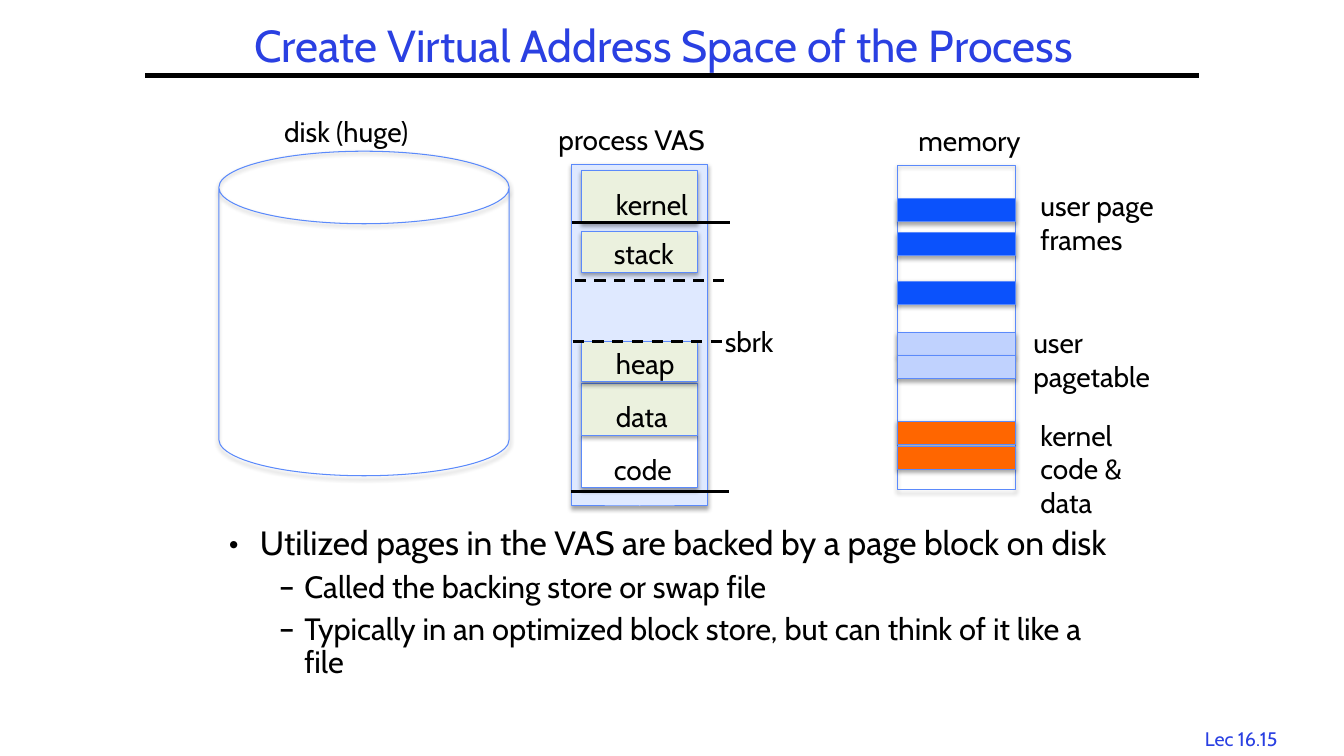
from lxml.etree import SubElement
from pptx import Presentation
from pptx.dml.color import RGBColor
from pptx.enum.dml import MSO_LINE
from pptx.enum.shapes import MSO_CONNECTOR, MSO_SHAPE
from pptx.enum.text import MSO_ANCHOR, MSO_AUTO_SIZE, PP_ALIGN
from pptx.oxml.ns import qn
from pptx.util import Inches, Pt

THEME = {
    "font": "Cabin",
    "title": "2A40E2",
    "ink": "000000",
    "outline": "5B8AFB",
    "space": "DFE9FF",
    "segment": "EBF1DE",
    "code": "FFFFFF",
    "user_frame": "0B52FC",
    "pagetable": "C0D2FE",
    "kernel_frame": "FF6600",
    "title_size": 32,
    "bullet_size": 24,
    "sub_bullet_size": 22,
    "label_size": 20,
    "footer_size": 14,
}

presentation = Presentation()
presentation.slide_width = Inches(13.33)
presentation.slide_height = Inches(7.5)
slide = presentation.slides.add_slide(presentation.slide_layouts[6])


def add_block(kind, left, top, width, height, fill=None):
    shape = slide.shapes.add_shape(
        kind, Inches(left), Inches(top), Inches(width), Inches(height))
    if fill:
        shape.fill.solid()
        shape.fill.fore_color.rgb = RGBColor.from_string(THEME[fill])
    else:
        shape.fill.background()
    shape.line.color.rgb = RGBColor.from_string(THEME["outline"])
    shape.line.width = Pt(0.75)
    shape.shadow.inherit = False
    effects = shape._element.spPr.find(qn("a:effectLst"))
    shadow = SubElement(effects, qn("a:outerShdw"), blurRad=str(Pt(3.1)),
                        dist=str(Pt(1.8)), dir="5400000", rotWithShape="0")
    color = SubElement(shadow, qn("a:srgbClr"), val=THEME["ink"])
    SubElement(color, qn("a:alpha"), val="35000")


def add_text(text, left, top, width, height, size="label_size", color="ink", wrap=False):
    box = slide.shapes.add_textbox(
        Inches(left), Inches(top), Inches(width), Inches(height))
    frame = box.text_frame
    frame.word_wrap = wrap
    frame.text = text
    for paragraph in frame.paragraphs:
        for run in paragraph.runs:
            run.font.name = THEME["font"]
            run.font.size = Pt(THEME[size])
            run.font.color.rgb = RGBColor.from_string(THEME[color])
    return frame


footer = add_text("Lec 16.15", 11.77, 7.16, 1.08, 0.33, "footer_size", "title")
footer.paragraphs[0].alignment = PP_ALIGN.CENTER

title = add_text("Create Virtual Address Space of the Process",
                 2.01, 0, 9.15, 0.96, "title_size", "title", True)
title.vertical_anchor = MSO_ANCHOR.MIDDLE
title.paragraphs[0].alignment = PP_ALIGN.CENTER
title.paragraphs[0].line_spacing = 0.9

bullets = [
    ("Utilized pages in the VAS are backed by a page block on disk", 0),
    ("Called the backing store or swap file", 1),
    ("Typically in an optimized block store, but can think of it like a file", 1),
]
bullet_styles = [("•", 0.31, 0.31, "bullet_size"), ("–", 0.75, 0.25, "sub_bullet_size")]
body = add_text("\n".join(text for text, level in bullets),
                2.17, 5.17, 9, 1.6, "bullet_size", "ink", True)
for index, (paragraph, (text, level)) in enumerate(zip(body.paragraphs, bullets)):
    mark, margin, hanging, size = bullet_styles[level]
    properties = paragraph._p.get_or_add_pPr()
    properties.set("marL", str(Inches(margin)))
    properties.set("indent", str(-Inches(hanging)))
    SubElement(properties, qn("a:buFont"), typeface=THEME["font"])
    SubElement(properties, qn("a:buChar"), char=mark)
    paragraph.level = level
    paragraph.line_spacing = 0.9
    paragraph.space_before = Pt(6.6 if index else 0)
    paragraph.runs[0].font.size = Pt(THEME[size])

memory_left, memory_width = 8.9, 1.17
add_block(MSO_SHAPE.CAN, 2.17, 1.5, 2.88, 3.22)
add_block(MSO_SHAPE.RECTANGLE, memory_left, 1.64, memory_width, 3.22)
add_block(MSO_SHAPE.RECTANGLE, 5.67, 1.63, 1.35, 3.39, "space")

segments = [
    ("code", 4.32, 0.52, "code", 5.99, 4.44, 0.81),
    ("data", 3.8, 0.52, "segment", 6.01, 3.91, 0.75),
    ("heap", 3.39, 0.4, "segment", 6.01, 3.39, 0.83),
    ("stack", 2.3, 0.4, "segment", 5.99, 2.3, 0.86),
    ("kernel", 1.69, 0.52, "segment", 6.01, 1.81, 0.97),
]
for name, top, height, fill, label_left, label_top, label_width in segments:
    add_block(MSO_SHAPE.RECTANGLE, 5.77, top, 1.15, height, fill)
    add_text(name, label_left, label_top, label_width, 0.44)

page_frames = {
    "user_frame": [1.97, 2.31, 2.79],
    "pagetable": [3.3, 3.53],
    "kernel_frame": [4.18, 4.43],
}
for fill, tops in page_frames.items():
    for top in tops:
        add_block(MSO_SHAPE.RECTANGLE, memory_left, top, memory_width, 0.23, fill)

rules = [
    (1.44, 11.89, 0.75, 3, False),
    (5.67, 7.24, 2.21, 2, False),
    (5.7, 7.26, 2.78, 2, True),
    (5.68, 7.24, 3.39, 2, True),
    (5.66, 7.23, 4.88, 2, False),
]
for start, end, top, weight, dashed in rules:
    rule = slide.shapes.add_connector(
        MSO_CONNECTOR.STRAIGHT, Inches(start), Inches(top), Inches(end), Inches(top))
    rule.line.color.rgb = RGBColor.from_string(THEME["ink"])
    rule.line.width = Pt(weight)
    if dashed:
        rule.line.dash_style = MSO_LINE.DASH
    SubElement(rule._element.spPr, qn("a:effectLst"))

labels = [
    ("disk (huge)", 2.72, 1.09, 1.59, 0.44, False),
    ("process VAS", 5.44, 1.17, 1.8, 0.44, False),
    ("memory", 9.01, 1.18, 1.3, 0.44, False),
    ("sbrk", 7.09, 3.17, 0.73, 0.44, False),
    ("user page\nframes", 10.22, 1.82, 1.49, 0.77, True),
    ("user pagetable", 10.15, 3.18, 1.49, 0.77, True),
    ("kernel code & data", 10.22, 4.1, 1.49, 1.11, True),
]
for text, left, top, width, height, wrap in labels:
    label = add_text(text, left, top, width, height, wrap=wrap)
    label.auto_size = MSO_AUTO_SIZE.SHAPE_TO_FIT_TEXT

presentation.save("out.pptx")
